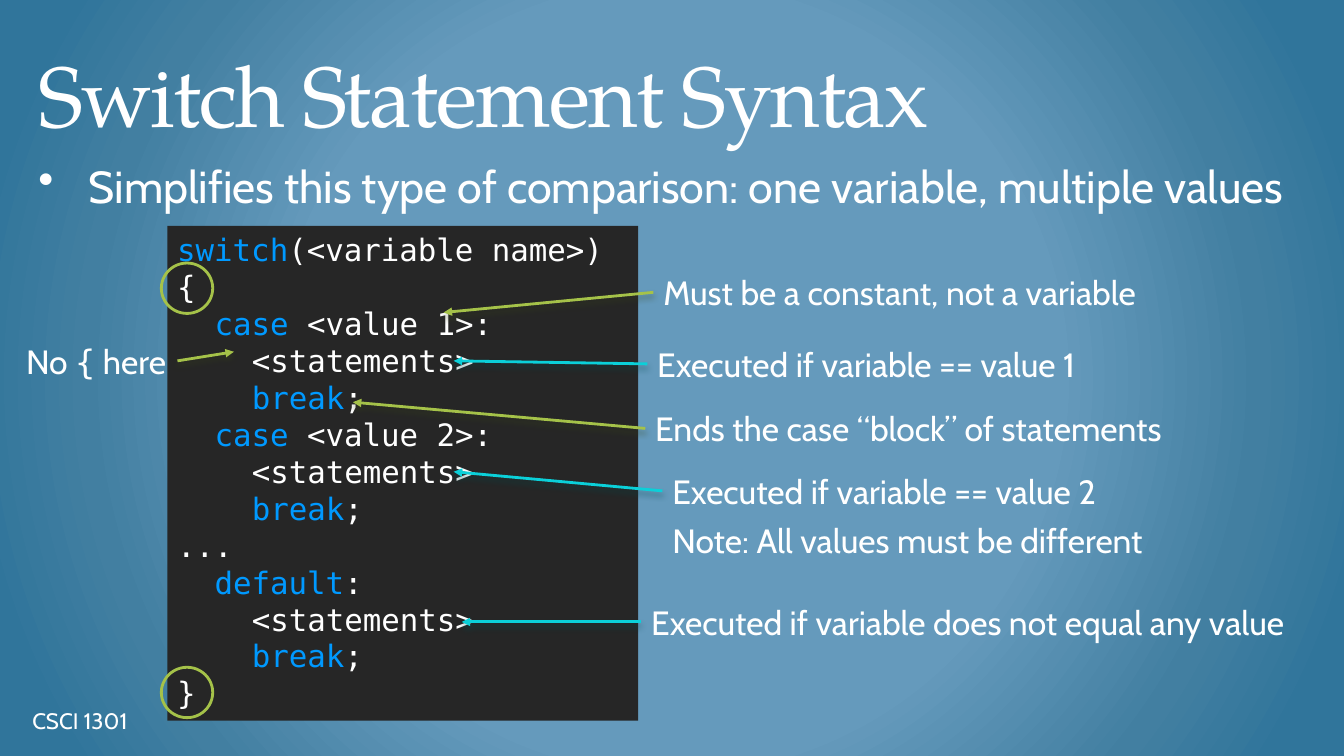
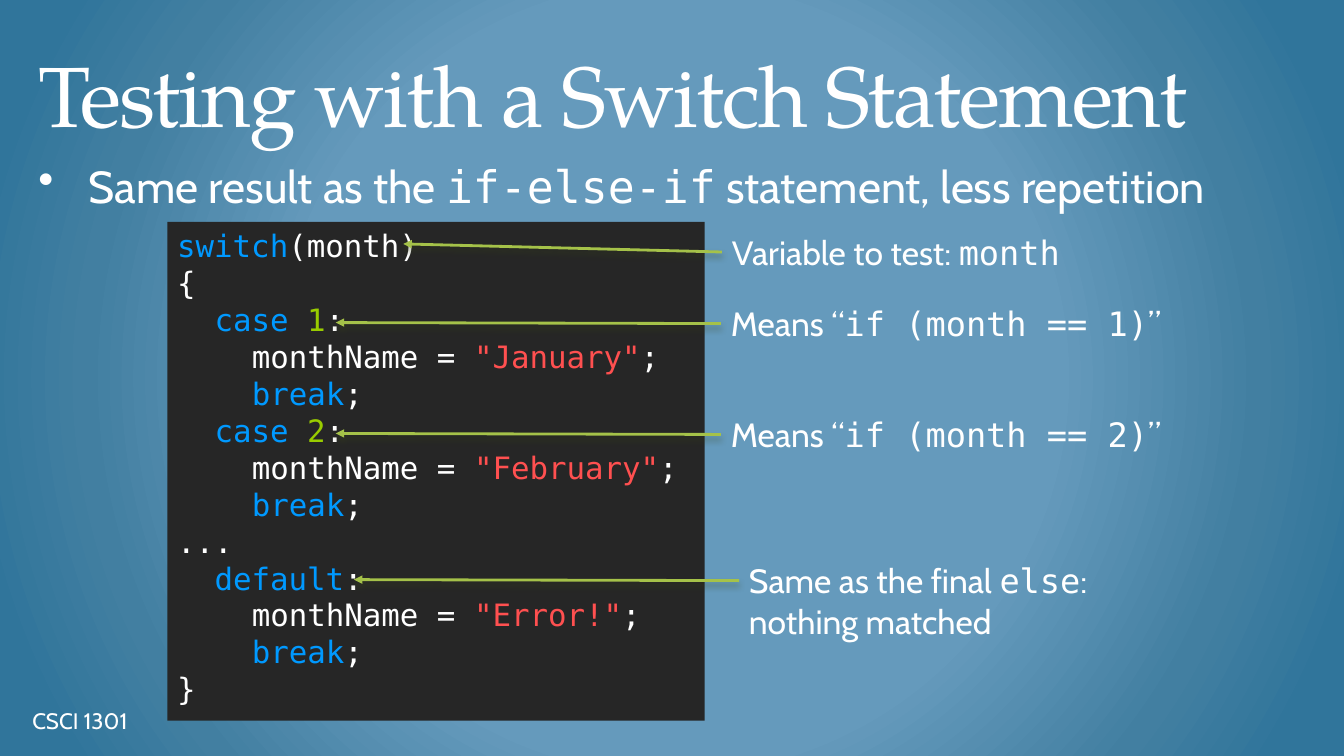
from pptx import Presentation
from pptx.dml.color import RGBColor
from pptx.enum.shapes import MSO_CONNECTOR, MSO_SHAPE
from pptx.enum.text import MSO_ANCHOR, PP_ALIGN
from pptx.oxml import parse_xml
from pptx.oxml.ns import nsdecls, qn
from pptx.util import Inches, Pt

COLORS = {
    "white": "FFFFFF", "panel": "262626",
    "keyword": "0099FF", "number": "99CC00", "string": "FF5050",
    "green": "A5C249", "green shadow": "3A4519",
    "cyan": "0BD0D9", "cyan shadow": "024B4E",
}
BACKGROUND_STOPS = [(50, "659ABC"), (76, "427FA1"), (92, "30759B")]
TITLE_FONT, TEXT_FONT, CODE_FONT = "TeX Gyre Pagella", "Cabin", "DejaVu Sans Mono"
KEYWORDS = {"switch", "case", "break", "default"}
FOOTER = "CSCI 1301"
TITLE_BOX = (0.25, 0.25, 12.83, 1.25)
BULLET_BOX = (0.25, 1.5, 12.83, 0.7)
FOOTER_BOX = (0.25, 6.95, 4.15, 0.4)
PLACEHOLDER_MARGINS = (0.13, 0.07, 0.13, 0.07)
LABEL_MARGINS = (0.1, 0.05, 0, 0.05)
CODE_INDENT = 0.37


def color(name):
    """Return the named colour."""
    return RGBColor.from_string(COLORS[name])


def add_run(paragraph, text, size, font=TEXT_FONT, color_name="white"):
    """Append one formatted run to a paragraph."""
    run = paragraph.add_run()
    run.text = text
    run.font.size = Pt(size)
    run.font.name = font
    run.font.color.rgb = color(color_name)
    return run


def add_text(slide, box, text, size, margins, font=TEXT_FONT, anchor=MSO_ANCHOR.TOP):
    """Add a text box, with words between backticks set in the code font."""
    frame = slide.shapes.add_textbox(*map(Inches, box)).text_frame
    frame.word_wrap = True
    frame.vertical_anchor = anchor
    (frame.margin_left, frame.margin_top,
     frame.margin_right, frame.margin_bottom) = map(Inches, margins)
    paragraph = frame.paragraphs[0]
    for index, piece in enumerate(text.split("`")):
        if piece:
            add_run(paragraph, piece, size, CODE_FONT if index % 2 else font)
    return paragraph


def paint_background(slide):
    """Fill the slide with the radial blue gradient."""
    slide.background.fill.solid()
    properties = slide.element.find(".//" + qn("p:bgPr"))
    stops = "".join(
        f'<a:gs pos="{position * 1000}"><a:srgbClr val="{value}"/></a:gs>'
        for position, value in BACKGROUND_STOPS)
    gradient = parse_xml(
        f'<a:gradFill {nsdecls("a")} rotWithShape="1"><a:gsLst>{stops}</a:gsLst>'
        '<a:path path="circle"><a:fillToRect l="50000" t="50000" r="50000" b="50000"/>'
        '</a:path></a:gradFill>')
    properties.replace(properties[0], gradient)


def add_title(slide, box, text):
    """Add the large serif title."""
    paragraph = add_text(slide, box, text, 61, PLACEHOLDER_MARGINS,
                         TITLE_FONT, MSO_ANCHOR.BOTTOM)
    paragraph.line_spacing = Pt(77.3)
    for run in paragraph.runs:
        run.font._element.set("spc", "-130")


def add_bullet(slide, box, text):
    """Add the bulleted line below the title."""
    paragraph = add_text(slide, box, text, 32, PLACEHOLDER_MARGINS)
    properties = paragraph._p.get_or_add_pPr()
    properties.set("marL", str(Inches(0.5)))
    properties.set("indent", str(Inches(-0.5)))
    properties.append(parse_xml(f'<a:buChar {nsdecls("a")} char="•"/>'))


def token_color(token):
    """Choose the highlight colour of a code token."""
    word = token.strip()
    if word in KEYWORDS:
        return "keyword"
    if word.isdigit():
        return "number"
    return "string" if word.startswith('"') else "white"


def add_code(slide, box, lines):
    """Add the dark panel; each line is an indent level and its tokens."""
    panel = slide.shapes.add_shape(MSO_SHAPE.RECTANGLE, *map(Inches, box))
    panel.shadow.inherit = False
    panel.fill.solid()
    panel.fill.fore_color.rgb = color("panel")
    panel.line.fill.background()
    frame = panel.text_frame
    frame.word_wrap = True
    frame.vertical_anchor = MSO_ANCHOR.TOP
    for index, (level, tokens) in enumerate(lines):
        paragraph = frame.add_paragraph() if index else frame.paragraphs[0]
        paragraph.alignment = PP_ALIGN.LEFT
        paragraph._p.get_or_add_pPr().set("marL", str(Inches(level * CODE_INDENT)))
        for token in tokens.split("|"):
            add_run(paragraph, token, 22, CODE_FONT, token_color(token))


def add_arrow(slide, start, end, color_name):
    """Draw a shadowed arrow from start to end."""
    arrow = slide.shapes.add_connector(
        MSO_CONNECTOR.STRAIGHT, *map(Inches, (*start, *end)))
    arrow.line.color.rgb = color(color_name)
    arrow.line.width = Pt(2)
    arrow.line._get_or_add_ln().append(
        parse_xml(f'<a:tailEnd {nsdecls("a")} type="triangle"/>'))
    arrow._element.spPr.append(parse_xml(
        f'<a:effectLst {nsdecls("a")}><a:outerShdw blurRad="{Pt(4.5)}" dist="{Pt(3)}" '
        f'dir="5400000" rotWithShape="0"><a:srgbClr val="{COLORS[color_name + " shadow"]}">'
        '<a:alpha val="48000"/></a:srgbClr></a:outerShdw></a:effectLst>'))


def add_callout(slide, box, text, target=None, color_name="green"):
    """Add a label and an arrow from its nearer side to the target."""
    left, top, width, _ = box
    add_text(slide, box, text, 24, LABEL_MARGINS)
    if target:
        start = left + width if target[0] > left else left
        add_arrow(slide, (start, top + 0.25), target, color_name)


def add_ring(slide, box):
    """Circle a brace in the code."""
    ring = slide.shapes.add_shape(MSO_SHAPE.OVAL, *map(Inches, box))
    ring.shadow.inherit = False
    ring.fill.background()
    ring.line.color.rgb = color("green")
    ring.line.width = Pt(2)


def add_code_slide(presentation, title, bullet, code_box, code, callouts, rings=()):
    """Build one slide of annotated code."""
    slide = presentation.slides.add_slide(presentation.slide_layouts[6])
    paint_background(slide)
    add_title(slide, TITLE_BOX, title)
    add_bullet(slide, BULLET_BOX, bullet)
    add_text(slide, FOOTER_BOX, FOOTER, 16, (0.07, 0.07, 0.13, 0.07),
             anchor=MSO_ANCHOR.MIDDLE)
    add_code(slide, code_box, code)
    for callout in callouts:
        add_callout(slide, *callout)
    for ring in rings:
        add_ring(slide, ring)


def switch_code(variable, cases, default):
    """List the lines of a switch; each case has a value and a statement."""
    lines = [(0, f"switch|({variable})"), (0, "{")]
    for value, statement in cases:
        lines += [(1, f"case |{value}:"), (2, statement), (2, "break|;")]
    return lines + [(0, "..."), (1, "default|:"), (2, default), (2, "break|;"), (0, "}")]


presentation = Presentation()
presentation.slide_width, presentation.slide_height = Inches(13.33), Inches(7.5)

add_code_slide(
    presentation, "Switch Statement Syntax",
    "Simplifies this type of comparison: one variable, multiple values",
    (1.66, 2.24, 4.67, 4.91),
    switch_code("<variable name>",
                [(f"<value {number}>", "<statements>") for number in (1, 2)],
                "<statements>"),
    [((6.48, 2.65, 5.01, 0.5), "Must be a constant, not a variable", (4.4, 3.1)),
     ((6.42, 3.36, 4.43, 0.5), "Executed if variable == value 1", (4.5, 3.58), "cyan"),
     ((6.4, 4, 5.39, 0.5), "Ends the case “block” of statements", (3.5, 3.99)),
     ((6.57, 4.62, 4.43, 0.5), "Executed if variable == value 2", (4.5, 4.68), "cyan"),
     ((6.36, 5.92, 6.58, 0.5), "Executed if variable does not equal any value",
      (4.58, 6.17), "cyan"),
     ((0.16, 3.33, 1.6, 0.5), "No `{` here", (2.32, 3.49)),
     ((6.57, 5.11, 4.96, 0.5), "Note: All values must be different")],
    [(1.6, top, 0.51, 0.5) for top in (2.61, 6.62)])

add_code_slide(
    presentation, "Testing with a Switch Statement",
    "Same result as the `if-else-if` statement, less repetition",
    (1.66, 2.2, 5.33, 4.95),
    switch_code("month",
                [(f"{number}|", f'monthName = |"{month}"|;')
                 for number, month in ((1, "January"), (2, "February"))],
                'monthName = |"Error!"|;'),
    [((7.16, 2.25, 3.46, 0.5), "Variable to test: `month`", (4, 2.42)),
     ((7.15, 2.96, 4.68, 0.5), "Means “`if (month == 1)`”", (3.33, 3.2)),
     ((7.33, 5.51, 3.83, 0.91), "Same as the final `else`: nothing matched", (3.51, 5.75)),
     ((7.15, 4.06, 4.68, 0.5), "Means “`if (month == 2)`”", (3.33, 4.3))])

presentation.save("out.pptx")
